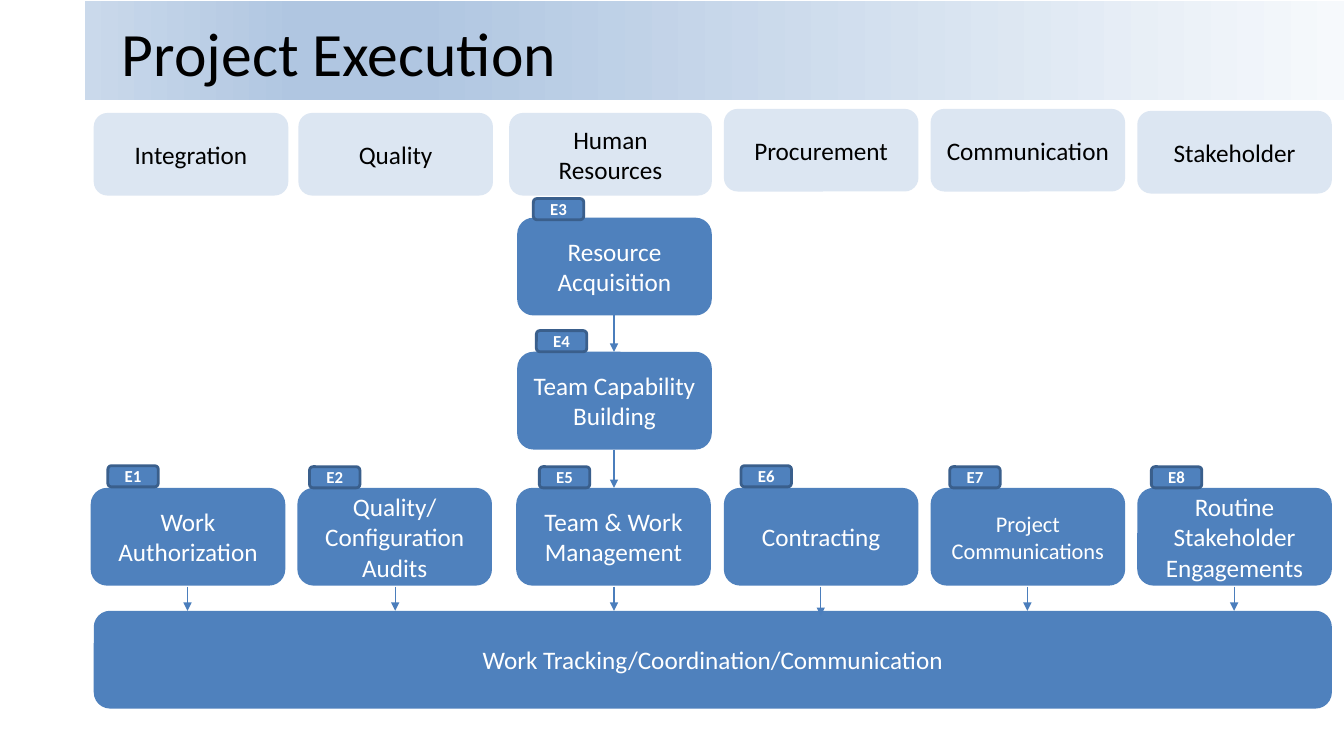
from lxml.etree import SubElement as Sub
from pptx import Presentation
from pptx.dml.color import RGBColor
from pptx.enum.shapes import MSO_CONNECTOR as Link, MSO_SHAPE as Kind
from pptx.enum.text import MSO_ANCHOR as Anchor, MSO_AUTO_SIZE as Fit, PP_ALIGN as Align
from pptx.oxml.ns import qn
from pptx.util import Pt

SCALE = 9144
TOP, HIGH, WIDE = 484, 97, 193
BAR = 606


def px(n):
    return int(n * SCALE)


def hue(code):
    return RGBColor.from_string(code)


def put(item, form):
    for key, value in form.items():
        setattr(item, key, value)


class Board:
    blue, pale, edge, wire = "4F81BD", "DCE6F2", "3A5F8C", "4B7EBC"
    white, black = "FFFFFF", "000000"
    face = "Calibri"

    def __init__(self, deck):
        self.slide = deck.slides.add_slide(deck.slide_layouts[5])
        self.shapes = self.slide.shapes

    def label(self, shape, text, size, ink, align=Align.CENTER, bold=False):
        frame = shape.text_frame
        frame.text = text
        put(frame, dict(word_wrap=True, vertical_anchor=Anchor.MIDDLE, auto_size=Fit.NONE))
        para = frame.paragraphs[0]
        para.alignment = align
        font = para.runs[0].font
        put(font, dict(name=self.face, size=Pt(size), bold=bold))
        font.color.rgb = hue(ink)

    def title(self, text, *area):
        shape = self.shapes.title
        put(shape, dict(zip(("left", "top", "width", "height"), map(px, area))))
        self.label(shape, text, 44, self.black, Align.LEFT)

    def band(self, stops, *area):
        shape = self.shapes.add_shape(Kind.RECTANGLE, *map(px, area))
        shape.shadow.inherit = False
        shape.line.fill.background()
        shape.fill.gradient()
        shape.fill.gradient_angle = 180
        marks = shape.element.spPr.find(".//" + qn("a:gsLst"))
        marks.clear()
        for place, code in stops:
            stop = Sub(marks, qn("a:gs"), pos=str(place * 1000))
            Sub(stop, qn("a:srgbClr"), val=code)
        self.shapes.title.element.addprevious(shape.element)

    def box(self, text, area, fill=blue, ink=white, size=18, edge=None, bold=False):
        shape = self.shapes.add_shape(Kind.ROUNDED_RECTANGLE, *map(px, area))
        shape.shadow.inherit = False
        shape.fill.solid()
        shape.fill.fore_color.rgb = hue(fill)
        if edge:
            shape.line.color.rgb = hue(edge)
            shape.line.width = Pt(2)
        else:
            shape.line.fill.background()
        self.label(shape, text, size, ink, bold=bold)

    def head(self, text, *area):
        self.box(text, area, self.pale, self.black)

    def tag(self, text, left, top):
        self.box(text, (left, top, 50, 21), size=12, edge=self.edge, bold=True)

    def arrow(self, *ends):
        link = self.shapes.add_connector(Link.STRAIGHT, *map(px, ends))
        link.line.color.rgb = hue(self.wire)
        link.line.width = Pt(0.75)
        props = link.element.spPr
        Sub(props.find(qn("a:ln")), qn("a:tailEnd"), type="triangle")
        Sub(props, qn("a:effectLst"))


def main():
    deck = Presentation()
    put(deck, dict(slide_width=px(1333), slide_height=px(750)))
    board = Board(deck)
    board.title("Project Execution", 111, 6, 1178, 91)
    board.band([(0, "F6F9FC"), (74, "B0C6E1"), (83, "B0C6E1"), (100, "CAD9EB")],
               84, 1, 1249, 98)

    for text, left, top, wide in [
        ("Integration", 93, 112, WIDE),
        ("Quality", 296, 112, WIDE),
        ("Human Resources", 505, 112, 201),
        ("Procurement", 718, 108, WIDE),
        ("Communication", 923, 108, WIDE),
        ("Stakeholder", 1128, 110, WIDE),
    ]:
        board.head(text, left, top, wide, 82)

    board.box("Work Tracking/Coordination/Communication", (93, BAR, 1228, HIGH))

    for text, left, size, mid, end in [
        ("Work Authorization", 90, 18, 186, BAR),
        ("Quality/Configuration Audits", 295, 18, 392, BAR),
        ("Team & Work Management", 512, 18, 609, BAR),
        ("Contracting", 718, 18, 814, BAR + 5),
        ("Project Communications", 923, 16, 1019, BAR),
        ("Routine Stakeholder Engagements", 1128, 18, 1224, BAR),
    ]:
        board.box(text, (left, TOP, WIDE, HIGH), size=size)
        board.arrow(mid, TOP + HIGH + 1, mid, end)

    for text, top, end in [
        ("Resource Acquisition", 216, 349),
        ("Team Capability Building", 349, TOP),
    ]:
        board.box(text, (513, top, WIDE, HIGH))
        board.arrow(609, top + HIGH, 609, end)

    spots = [(107, 462), (307, 463), (529, 197), (532, 328),
             (535, 463), (735, 462), (942, 463), (1142, 463)]
    for rank, (left, top) in enumerate(spots, 1):
        board.tag(f"E{rank}", left, top)

    deck.save("out.pptx")


if __name__ == "__main__":
    main()
